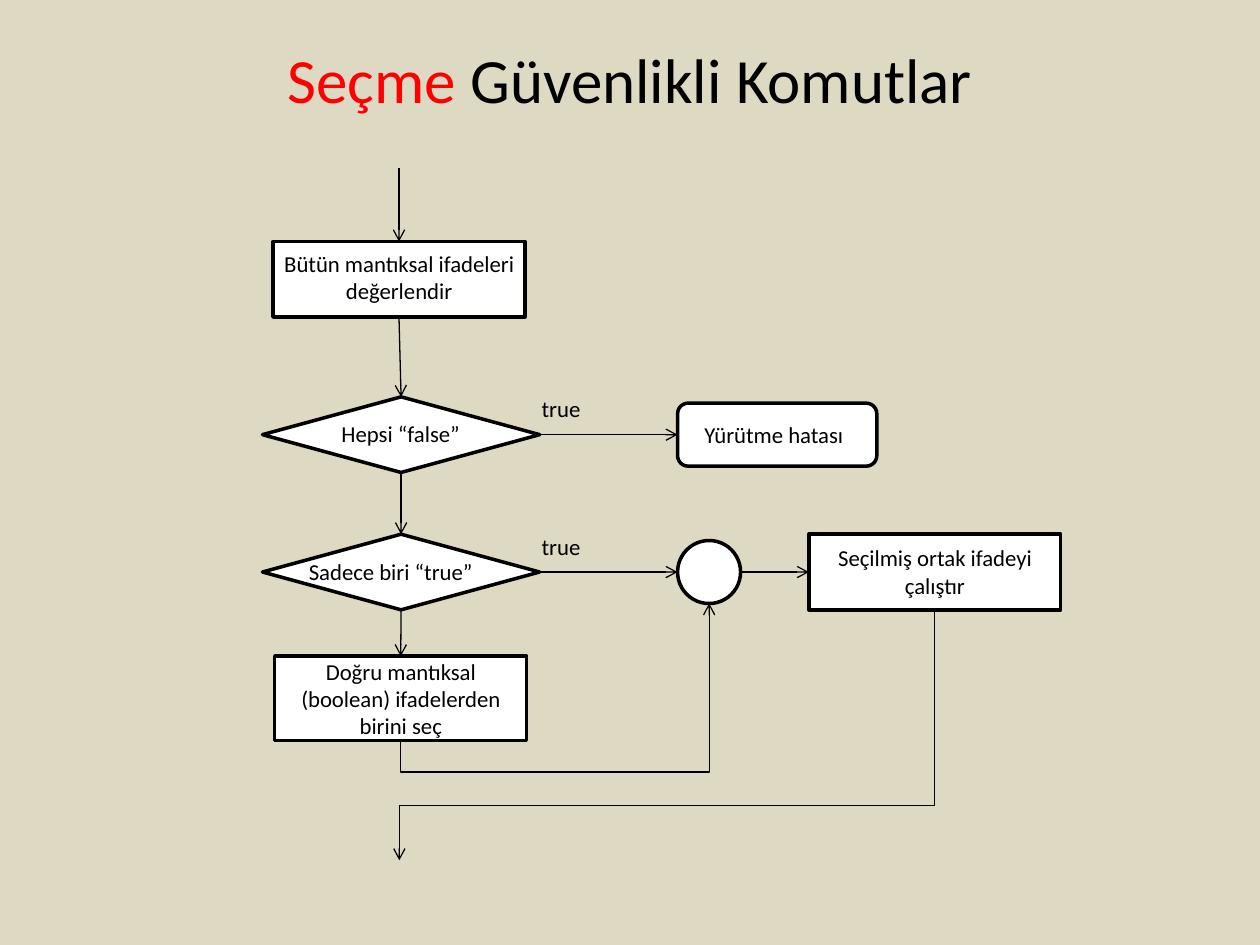
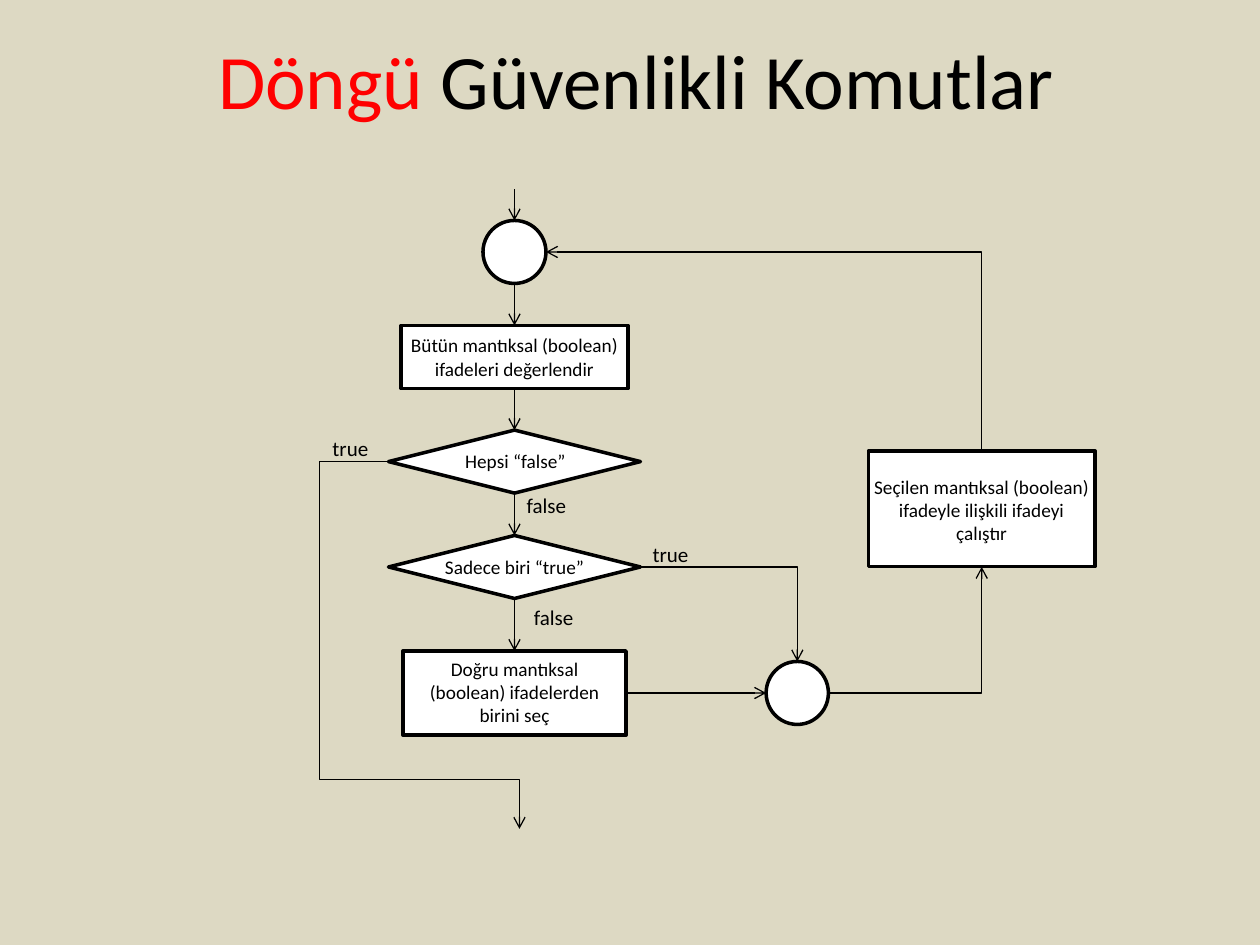
"""Build two flowchart slides on guarded selection and guarded loop commands."""
from lxml import etree
from pptx import Presentation
from pptx.dml.color import RGBColor
from pptx.enum.shapes import MSO_CONNECTOR, MSO_SHAPE
from pptx.enum.text import MSO_ANCHOR, MSO_AUTO_SIZE, PP_ALIGN
from pptx.oxml.ns import qn
from pptx.util import Pt

RECT, DIAMOND = MSO_SHAPE.RECTANGLE, MSO_SHAPE.FLOWCHART_DECISION
ROUNDED, CIRCLE = MSO_SHAPE.FLOWCHART_ALTERNATE_PROCESS, MSO_SHAPE.OVAL
STRAIGHT, ELBOW = MSO_CONNECTOR.STRAIGHT, MSO_CONNECTOR.ELBOW
LEFT, CENTER = PP_ALIGN.LEFT, PP_ALIGN.CENTER
MIDDLE = MSO_ANCHOR.MIDDLE
NO_FIT, GROW = MSO_AUTO_SIZE.NONE, MSO_AUTO_SIZE.SHAPE_TO_FIT_TEXT
TOP_SIDE, LEFT_SIDE, BOTTOM_SIDE, RIGHT_SIDE = range(4)
FONT = "Calibri"
BLACK, WHITE, RED, SAND = "000000", "FFFFFF", "FF0000", "DDD9C3"


def color(hex_text):
    return RGBColor.from_string(hex_text)


def style_arrow(connector):
    connector.line.color.rgb = color(BLACK)
    connector.line.width = Pt(0.75)
    properties = connector._element.spPr
    etree.SubElement(properties.find(qn("a:ln")), qn("a:tailEnd"), type="arrow")
    etree.SubElement(properties, qn("a:effectLst"))
    return properties


selection = {
    "keyword": "Seçme ", "title_left": 36, "title_size": 36,
    "nodes": {
        "evaluate": (RECT, 156, 138, 144, 43.2),
        "choose": (RECT, 157, 375, 144, 48.2),
        "all false": (DIAMOND, 150, 226.8, 158.4, 43.2),
        "one true": (DIAMOND, 150, 305.3, 158.4, 43.2),
        "error": (ROUNDED, 387.2, 230.4, 113.8, 36),
        "run": (RECT, 462.2, 305.3, 144, 43.2),
        "join": (CIRCLE, 387.2, 308.9, 36, 36),
    },
    "straight": [
        ((228, 96), ("evaluate", TOP_SIDE)),
        (("evaluate", BOTTOM_SIDE), ("all false", TOP_SIDE)),
        (("all false", BOTTOM_SIDE), ("one true", TOP_SIDE)),
        (("one true", BOTTOM_SIDE), ("choose", TOP_SIDE)),
        (("one true", RIGHT_SIDE), (387.2, 326.9)),
        ((423.2, 326.9), ("run", LEFT_SIDE)),
        (("all false", RIGHT_SIDE), ("error", LEFT_SIDE)),
    ],
    "bent": [
        ("bentConnector3", 277.8, 295.8, 78.4, 176.4, 90, "HV", [-22900]),
        ("bentConnector3", 309.6, 267, 143.2, 306, 90, "", [78200]),
    ],
    "texts": [
        ("true", 302.4, 221.8, 37.4, 23, 13, LEFT, False),
        ("true", 302.4, 301, 37.4, 23, 13, LEFT, False),
        ("Bütün mantıksal ifadeleri değerlendir", 150, 139, 156, 39, 13, CENTER, True),
        ("Hepsi “false”", 170.6, 236.2, 116.6, 23, 13, CENTER, True),
        ("Yürütme hatası", 394.6, 236.9, 95, 23, 13, CENTER, False),
        ("Sadece biri “true”", 168.5, 315.4, 109.4, 23, 13, CENTER, False),
        ("Doğru mantıksal (boolean) ifadelerden birini seç", 157, 372.2, 144, 54.7, 13, CENTER, True),
        ("Seçilmiş ortak ifadeyi çalıştır", 465.1, 307.4, 138.2, 39, 13, CENTER, True),
    ],
}

loop = {
    "keyword": "Döngü ", "title_left": 39.6, "title_size": 44,
    "nodes": {
        "start": (CIRCLE, 276, 126, 36, 36),
        "join": (CIRCLE, 437.8, 378, 35.6, 36),
        "evaluate": (RECT, 229.2, 186, 129.6, 36),
        "choose": (RECT, 230.2, 372, 127.6, 48),
        "run": (RECT, 496.2, 257.8, 129.6, 66),
        "all false": (DIAMOND, 222, 245.8, 144, 36),
        "one true": (DIAMOND, 222, 306, 144, 36),
    },
    "straight": [
        ((294, 108), (294, 126)),
        ((294, 162), ("evaluate", TOP_SIDE)),
        (("evaluate", BOTTOM_SIDE), ("all false", TOP_SIDE)),
        (("all false", BOTTOM_SIDE), ("one true", TOP_SIDE)),
        (("one true", BOTTOM_SIDE), ("choose", TOP_SIDE)),
        (("choose", RIGHT_SIDE), (437.8, 396)),
    ],
    "bent": [
        ("bentConnector2", 366, 324, 89.6, 54, 0, "", []),
        ("bentConnector2", 473.4, 324, 87.6, 72, 0, "V", []),
        ("bentConnector2", 379.6, 76.4, 113.8, 249, 270, "V", []),
        ("bentConnector4", 222, 263.8, 74.8, 209.8, 180, "HV", [-52700, 86600]),
    ],
    "texts": [
        ("true", 182.9, 245.5, 35.3, 21.6, 12, LEFT, False),
        ("false", 293.8, 277.9, 37.4, 21.6, 12, LEFT, False),
        ("true", 365.8, 306, 35.3, 21.6, 12, LEFT, False),
        ("false", 298, 342, 37.4, 21.6, 12, LEFT, False),
        ("Bütün mantıksal (boolean) ifadeleri değerlendir", 222, 187.2, 144, 33.8, 11, CENTER, True),
        ("Hepsi “false”", 243.4, 253.4, 102.2, 20.2, 11, CENTER, True),
        ("Sadece biri “true”", 234, 313.9, 120.2, 20.2, 11, CENTER, True),
        ("Doğru mantıksal (boolean) ifadelerden birini seç", 234, 372.2, 120.2, 47.5, 11, CENTER, True),
        ("Seçilen mantıksal (boolean) ifadeyle ilişkili ifadeyi çalıştır", 491.8, 267.8, 138.2, 47.5, 11, CENTER, True),
    ],
}

deck = Presentation()
deck.slide_width, deck.slide_height = Pt(720), Pt(540)
background = deck.slide_master.background.fill
background.solid()
background.fore_color.rgb = color(SAND)

for chart in (selection, loop):
    page = deck.slides.add_slide(deck.slide_layouts[5])
    title = page.shapes.title
    title.left, title.top = Pt(chart["title_left"]), Pt(0)
    title.width, title.height = Pt(648), Pt(90)
    title.text_frame.vertical_anchor = MIDDLE
    title.text_frame.auto_size = NO_FIT
    para = title.text_frame.paragraphs[0]
    para.alignment = CENTER
    para.font.name, para.font.size = FONT, Pt(chart["title_size"])
    for words, ink in ((chart["keyword"], RED), ("Güvenlikli Komutlar", BLACK)):
        span = para.add_run()
        span.text = words
        span.font.color.rgb = color(ink)

    nodes = {}
    for name, (kind, *frame) in chart["nodes"].items():
        node = page.shapes.add_shape(kind, *map(Pt, frame))
        node.shadow.inherit = False
        node.fill.solid()
        node.fill.fore_color.rgb = color(WHITE)
        node.line.color.rgb = color(BLACK)
        node.line.width = Pt(2)
        nodes[name] = node

    for begin, end in chart["straight"]:
        connector = page.shapes.add_connector(STRAIGHT, 0, 0, 0, 0)
        if begin[0] in nodes:
            connector.begin_connect(nodes[begin[0]], begin[1])
        else:
            connector.begin_x, connector.begin_y = map(Pt, begin)
        if end[0] in nodes:
            connector.end_connect(nodes[end[0]], end[1])
        else:
            connector.end_x, connector.end_y = map(Pt, end)
        style_arrow(connector)

    for preset, left, top, width, height, turn, flips, bends in chart["bent"]:
        connector = page.shapes.add_connector(
            ELBOW, Pt(left), Pt(top), Pt(left + width), Pt(top + height))
        properties = style_arrow(connector)
        transform = properties.find(qn("a:xfrm"))
        transform.set("rot", str(turn * 60000))
        for axis in flips:
            transform.set("flip" + axis, "1")
        geometry = properties.find(qn("a:prstGeom"))
        geometry.set("prst", preset)
        for number, bend in enumerate(bends, 1):
            etree.SubElement(geometry.find(qn("a:avLst")), qn("a:gd"),
                             name=f"adj{number}", fmla=f"val {bend}")

    for words, left, top, width, height, size, alignment, wraps in chart["texts"]:
        box = page.shapes.add_textbox(Pt(left), Pt(top), Pt(width), Pt(height))
        box.text_frame.word_wrap = wraps
        box.text_frame.auto_size = GROW
        para = box.text_frame.paragraphs[0]
        para.text = words
        para.alignment = alignment
        para.font.name, para.font.size = FONT, Pt(size)
        para.font.color.rgb = color(BLACK)

deck.save("out.pptx")
